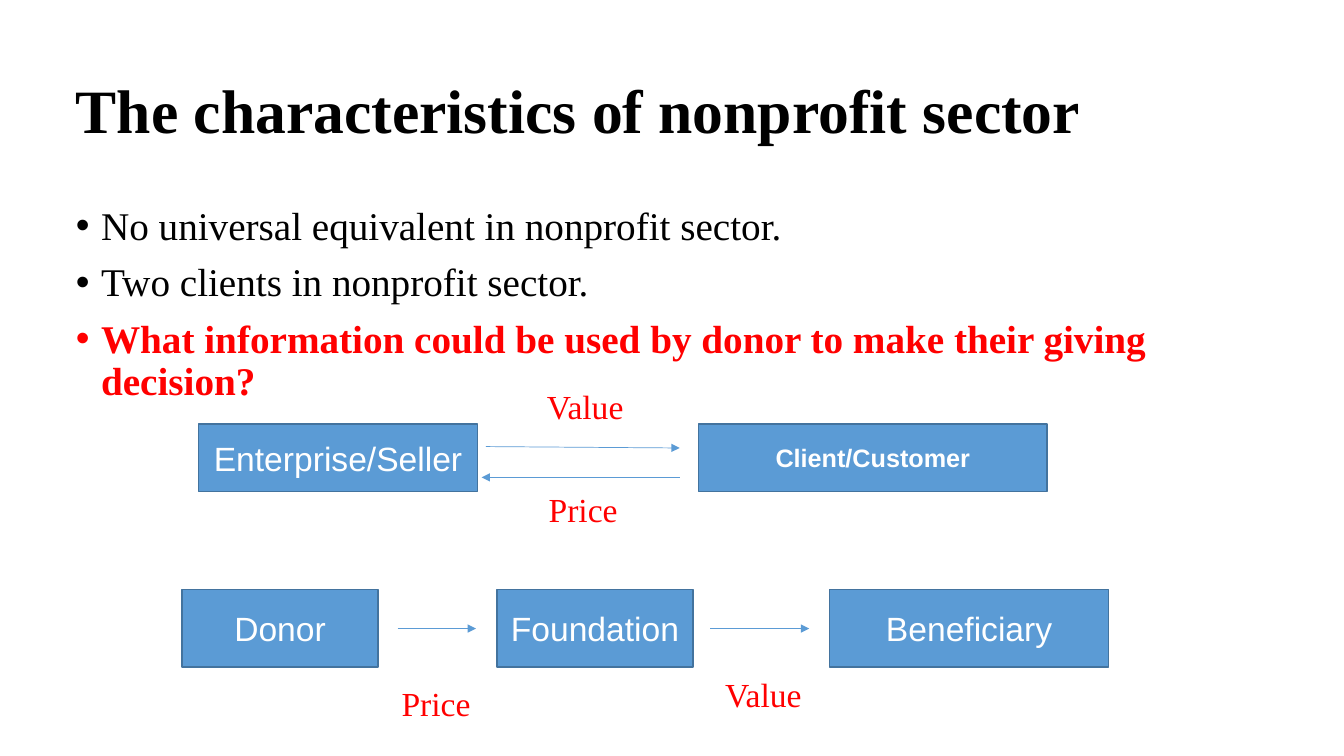
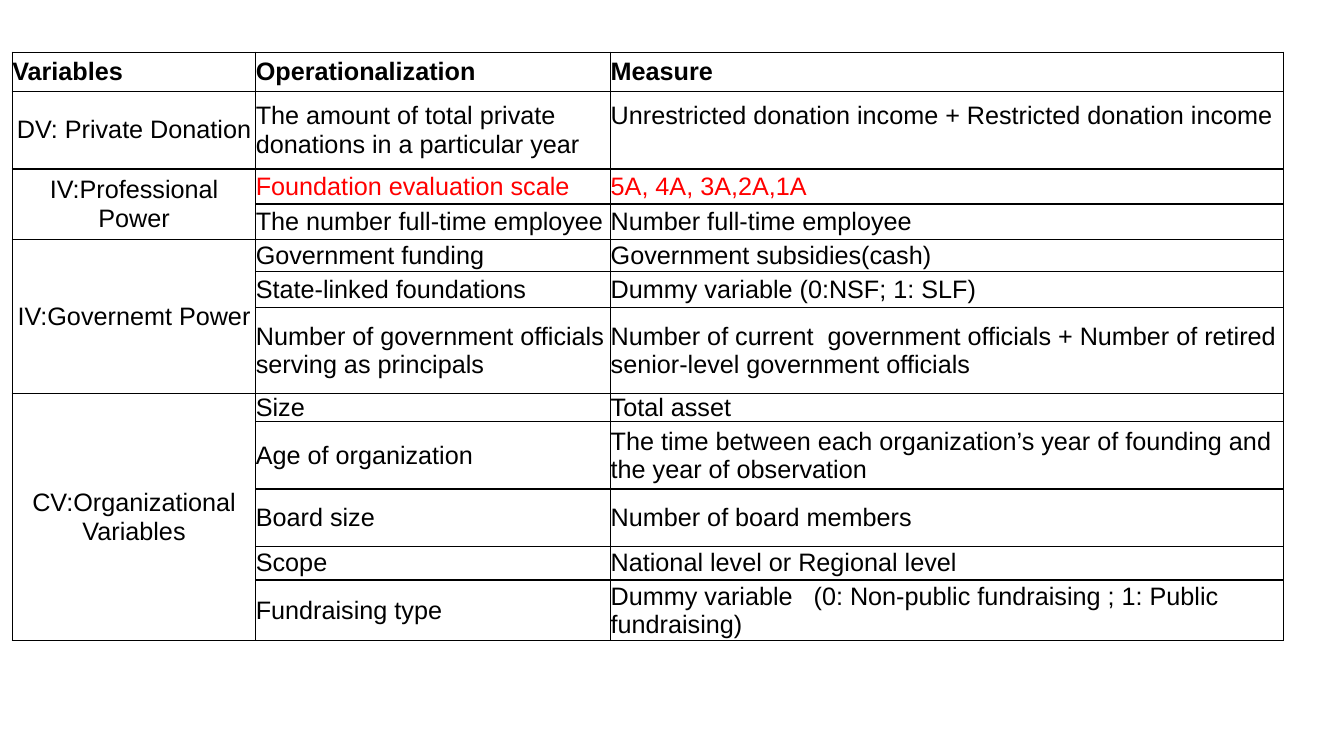
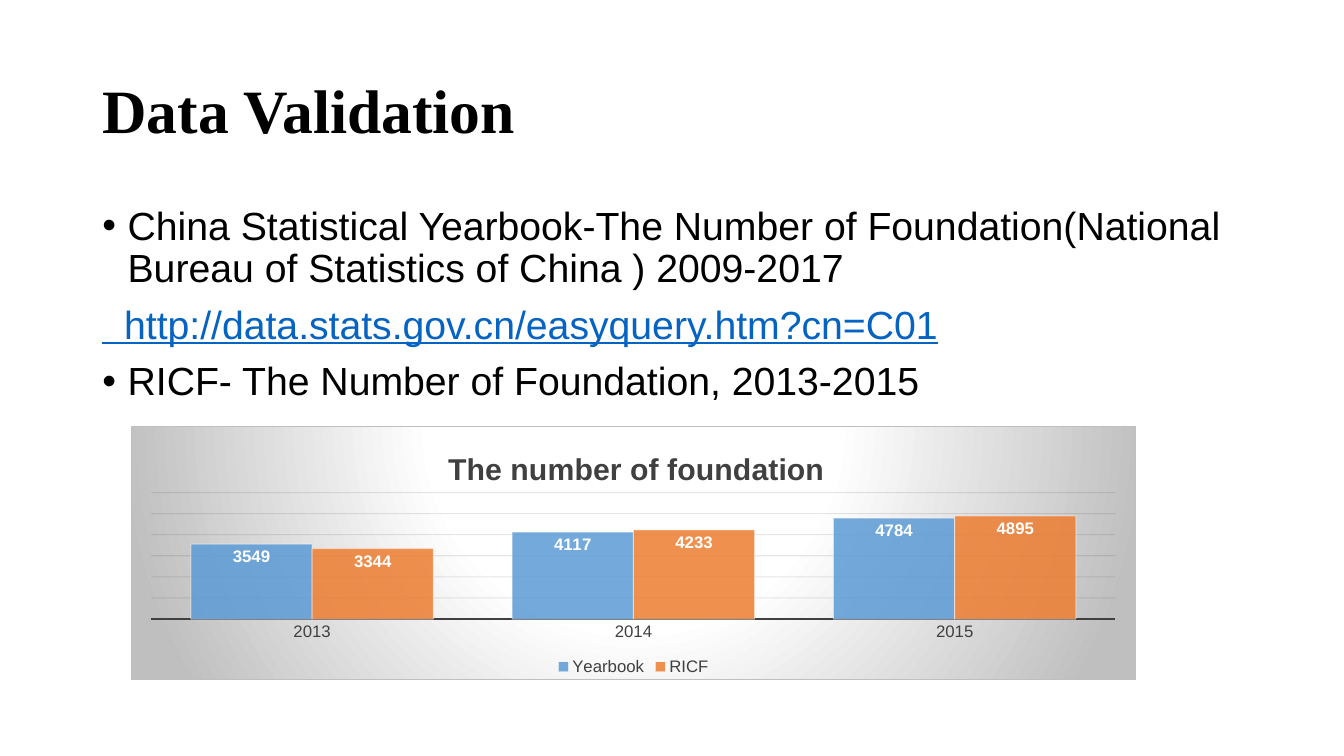
from pptx import Presentation
from pptx.chart.data import CategoryChartData
from pptx.dml.color import RGBColor
from pptx.enum.chart import XL_CHART_TYPE, XL_LABEL_POSITION, XL_LEGEND_POSITION, XL_TICK_MARK
from pptx.enum.shapes import MSO_CONNECTOR, MSO_SHAPE
from pptx.enum.text import MSO_ANCHOR, MSO_AUTO_SIZE, PP_ALIGN
from pptx.oxml import parse_xml
from pptx.oxml.ns import nsdecls, qn
from pptx.oxml.xmlchemy import OxmlElement
from pptx.util import Pt

RECT, LINE = MSO_SHAPE.RECTANGLE, MSO_CONNECTOR.STRAIGHT
LEFT, MID = PP_ALIGN.LEFT, PP_ALIGN.CENTER
TOP, CENTER = MSO_ANCHOR.TOP, MSO_ANCHOR.MIDDLE
COLUMN, BOTTOM = XL_CHART_TYPE.COLUMN_CLUSTERED, XL_LEGEND_POSITION.BOTTOM
INSIDE, NO_TICK = XL_LABEL_POSITION.INSIDE_END, XL_TICK_MARK.NONE
FIXED = MSO_AUTO_SIZE.NONE

SANS, SERIF = "Arial", "Times New Roman"
BLACK, WHITE, RED, GRAY = "000000", "FFFFFF", "FF0000", "404040"
BLUE, NAVY, ORANGE, LINK = "5B9BD5", "43739E", "ED7D31", "0563C1"


def rgb(code):
    return RGBColor.from_string(code)


def assign(item, form):
    for key, value in form.items():
        setattr(item, key, value)


def style(font, size, color=BLACK, name=SANS, bold=False, **more):
    assign(font, {"size": Pt(size), "name": name, "bold": bold, **more})
    font.color.rgb = rgb(color)


def stroke(line, color, width):
    line.color.rgb = rgb(color)
    line.width = Pt(width)


def fade(node, *levels):
    """Set the opacity, in percent, of the first colours under node."""
    for color, level in zip(list(node.iter(qn("a:srgbClr"))), levels):
        alpha = OxmlElement("a:alpha")
        alpha.set("val", str(level * 1000))
        color.append(alpha)


def layout(node, index, **spots):
    """Fix a chart part at fractions of the chart's size."""
    old = node.find(qn("c:layout"))
    if old is not None:
        node.remove(old)
    inner = '<c:layoutTarget val="inner"/>' if "w" in spots else ""
    modes = '<c:xMode val="edge"/><c:yMode val="edge"/>'
    parts = "".join(f'<c:{key} val="{value}"/>' for key, value in spots.items())
    node.insert(index, parse_xml(
        f'<c:layout {nsdecls("c")}><c:manualLayout>{inner}{modes}{parts}'
        "</c:manualLayout></c:layout>"))


class Deck:
    def __init__(self):
        self.file = Presentation()
        assign(self.file, {"slide_width": Pt(960), "slide_height": Pt(540)})
        self.slide = None

    def add(self, kind):
        self.slide = self.file.slides.add_slide(self.file.slide_layouts[kind])

    def frame(self, index, box, anchor):
        """Move a placeholder and return its text frame."""
        holder = self.slide.placeholders[index]
        assign(holder, dict(zip(("left", "top", "width", "height"), map(Pt, box))))
        text = holder.text_frame
        assign(text, {"auto_size": FIXED, "word_wrap": True, "vertical_anchor": anchor})
        return text

    def title(self, text, left, width):
        para = self.frame(0, (left, 29, width, 104), CENTER).paragraphs[0]
        assign(para, {"text": text, "alignment": LEFT, "line_spacing": 0.9})
        style(para.runs[0].font, 44, name=SERIF, bold=True)

    def body(self, items, left, width, name):
        """Fill the list from (text, bullet, font values) items."""
        frame = self.frame(1, (left, 144, width, 340), TOP)
        for i, (text, bullet, form) in enumerate(items):
            para = frame.add_paragraph() if i else frame.paragraphs[0]
            assign(para, {"text": text, "line_spacing": 0.9, "space_before": Pt(10)})
            style(para.runs[0].font, 28, name=name, **form)
            props = para._p.get_or_add_pPr()
            indent = Pt(18) if bullet else 0
            props.set("marL", str(indent))
            props.set("indent", str(-indent))
            if not bullet:
                props.append(OxmlElement("a:buNone"))

    def box(self, text, spot, fill=BLUE, line=NAVY, size=24, **form):
        shape = self.slide.shapes.add_shape(RECT, *map(Pt, spot))
        shape.shadow.inherit = False
        shape.fill.solid()
        shape.fill.fore_color.rgb = rgb(fill)
        if line:
            stroke(shape.line, line, 1)
        else:
            shape.line.fill.background()
        assign(shape.text_frame, {"word_wrap": True, "vertical_anchor": CENTER})
        para = shape.text_frame.paragraphs[0]
        assign(para, {"text": text, "alignment": MID})
        style(para.runs[0].font, size, **{"color": WHITE, **form})

    def label(self, text, spot):
        self.box(text, spot, fill=WHITE, line=None, color=RED, name=SERIF)

    def arrow(self, *ends):
        line = self.slide.shapes.add_connector(LINE, *map(Pt, ends))
        stroke(line.line, BLUE, 0.5)
        tip = OxmlElement("a:tailEnd")
        tip.set("type", "triangle")
        line.line._get_or_add_ln().append(tip)
        line._element.spPr.append(OxmlElement("a:effectLst"))

    def cell(self, cell, text, form, align, pad):
        assign(cell, {"margin_left": 0, "margin_right": 0, "margin_top": 0,
                      "margin_bottom": Pt(pad), "vertical_anchor": CENTER})
        cell.fill.background()
        props = cell._tc.get_or_add_tcPr()
        for i, side in enumerate("LRTB"):
            props.insert(i, parse_xml(
                f'<a:ln{side} {nsdecls("a")} w="{Pt(1)}"><a:solidFill>'
                f'<a:srgbClr val="{BLACK}"/></a:solidFill></a:ln{side}>'))
        if text:
            para = cell.text_frame.paragraphs[0]
            assign(para, {"text": text, "alignment": align})
            style(para.runs[0].font, 18, **form)

    def table(self, rows, left, top, widths, heights, reds, pads):
        """Draw rows; an empty first cell joins the one above it."""
        table = self.slide.shapes.add_table(
            len(rows), len(widths), Pt(left), Pt(top),
            Pt(sum(widths)), Pt(sum(heights))).table
        assign(table, {"first_row": False, "horz_banding": False})
        for column, width in zip(table.columns, widths):
            column.width = Pt(width)
        for row, height in zip(table.rows, heights):
            row.height = Pt(height)
        for i, row in enumerate(rows):
            form = {"bold": i == 0, "color": RED if i in reds else BLACK}
            for j, text in enumerate(row):
                plain = {**form, "color": BLACK} if j == 0 else form
                align = MID if i and j == 0 else LEFT
                self.cell(table.cell(i, j), text, plain, align, pads.get((i, j), 0))
        starts = [i for i, row in enumerate(rows) if row[0]] + [len(rows)]
        for first, after in zip(starts, starts[1:]):
            if after - first > 1:
                table.cell(first, 0).merge(table.cell(after - 1, 0))

    def chart(self, title, names, series, spot):
        """Draw columns from (name, colour, values) series."""
        data = CategoryChartData()
        data.categories = names
        for name, _, values in series:
            data.add_series(name, values)
        chart = self.slide.shapes.add_chart(COLUMN, *map(Pt, spot), data).chart
        style(chart.font, 10)
        assign(chart, {"has_title": True, "has_legend": True})
        para = chart.chart_title.text_frame.paragraphs[0]
        para.text = title
        style(para.runs[0].font, 21.6, GRAY, bold=True)
        layout(chart.chart_title._element, 1, x=0.31, y=0.07)
        layout(chart._chartSpace.chart.plotArea, 0, x=0.02, y=0.26, w=0.96, h=0.5)
        assign(chart.legend, {"position": BOTTOM, "include_in_layout": False})
        style(chart.legend.font, 12, GRAY)

        axis = chart.category_axis
        axis.major_tick_mark = NO_TICK
        style(axis.tick_labels.font, 12, GRAY)
        stroke(axis.format.line, GRAY, 1.5)
        scale = chart.value_axis
        assign(scale, {"minimum_scale": 0, "maximum_scale": 6000, "major_unit": 1000,
                       "has_major_gridlines": True, "visible": False})
        stroke(scale.major_gridlines.format.line, "0D0D0D", 0.75)
        fade(scale._element, 10)

        plot = chart.plots[0]
        assign(plot, {"gap_width": 65, "overlap": 0, "vary_by_categories": False})
        for bars, (_, color, _) in zip(plot.series, series):
            bars.format.fill.solid()
            bars.format.fill.fore_color.rgb = rgb(color)
            stroke(bars.format.line, WHITE, 0.75)
            fade(bars._element, 85, 50)
            labels = bars.data_labels
            assign(labels, {"show_value": True, "position": INSIDE})
            style(labels.font, 12, WHITE, bold=True)
        self.glow(chart)

    def glow(self, chart):
        """Give the chart a white to gray backdrop and a thin border."""
        stops = "".join(f'<a:gs pos="{spot * 1000}"><a:srgbClr val="{color}"/></a:gs>'
                        for spot, color in ((0, WHITE), (39, WHITE), (100, "BFBFBF")))
        chart._chartSpace.chart.addnext(parse_xml(
            f'<c:spPr {nsdecls("c", "a")}><a:gradFill><a:gsLst>{stops}</a:gsLst>'
            '<a:path path="circle"><a:fillToRect l="50000" t="-80000" r="50000" '
            f'b="180000"/></a:path></a:gradFill><a:ln w="{Pt(0.75)}"><a:solidFill>'
            '<a:srgbClr val="BFBFBF"/></a:solidFill></a:ln></c:spPr>'))


def sector(deck):
    deck.add(1)
    deck.title("The characteristics of nonprofit sector", 47, 870)
    deck.body([
        ("No universal equivalent in nonprofit sector.", True, {}),
        ("Two clients in nonprofit sector.", True, {}),
        ("What information could be used by donor to make their giving decision?",
         True, {"color": RED, "bold": True}),
    ], 47, 889, SERIF)
    for text, left, width in (("Donor", 130, 140), ("Foundation", 355, 140),
                              ("Beneficiary", 592.5, 199.5)):
        deck.box(text, (left, 421, width, 55.5))
    deck.box("Enterprise/Seller", (142, 303, 199, 48))
    deck.box("Client/Customer", (499, 303, 249, 48), size=18, bold=True)
    for ends in ((284, 449, 340, 449), (507.5, 449, 578, 449),
                 (347, 319, 485.5, 320), (485.5, 341, 344, 341)):
        deck.arrow(*ends)
    for text, spot in (("Value", (352, 275, 132, 29.5)), ("Price", (350.5, 348.5, 132, 29.5)),
                       ("Value", (494.5, 481, 101.5, 29.5)), ("Price", (253, 486, 117, 33))):
        deck.label(text, spot)


def variables(deck):
    deck.add(6)
    rows = [
        ("Variables", "Operationalization", "Measure"),
        ("DV: Private Donation", "The amount of total private donations in a particular year",
         "Unrestricted donation income + Restricted donation income"),
        ("IV:Professional Power", "Foundation evaluation scale", "5A, 4A, 3A,2A,1A"),
        ("", "The number full-time employee", "Number full-time employee"),
        ("IV:Governemt Power", "Government funding", "Government subsidies(cash)"),
        ("", "State-linked foundations", "Dummy variable (0:NSF; 1: SLF)"),
        ("", "Number of government officials serving as principals",
         "Number of current  government officials + Number of retired "
         "senior-level government officials"),
        ("CV:Organizational Variables", "Size", "Total asset"),
        ("", "Age of organization",
         "The time between each organization’s year of founding and the year of observation"),
        ("", "Board size", "Number of board members"),
        ("", "Scope", "National level or Regional level"),
        ("", "Fundraising type",
         "Dummy variable   (0: Non-public fundraising ; 1: Public fundraising)"),
    ]
    heights = (28, 55.5, 25, 25.5, 23, 25.5, 61.5, 20, 48, 41, 24, 43.5)
    deck.table(rows, 8.75, 37.25, (174, 253.5, 480.5), heights, reds={2}, pads={(1, 2): 20})


def checks(deck):
    deck.add(1)
    deck.title("Data Validation", 66, 828)
    deck.body([
        ("China Statistical Yearbook-The Number of Foundation(National Bureau of "
         "Statistics of China ) 2009-2017", True, {}),
        ("  http://data.stats.gov.cn/easyquery.htm?cn=C01", False,
         {"color": LINK, "underline": True}),
        ("RICF- The Number of Foundation, 2013-2015", True, {}),
    ], 66, 828, SANS)
    deck.chart("The number of foundation", ("2013", "2014", "2015"),
               (("Yearbook", BLUE, (3549, 4117, 4784)), ("RICF", ORANGE, (3344, 4233, 4895))),
               (93.5, 304.5, 718, 181.5))


def main():
    deck = Deck()
    for build in (sector, variables, checks):
        build(deck)
    deck.file.save("out.pptx")


if __name__ == "__main__":
    main()
